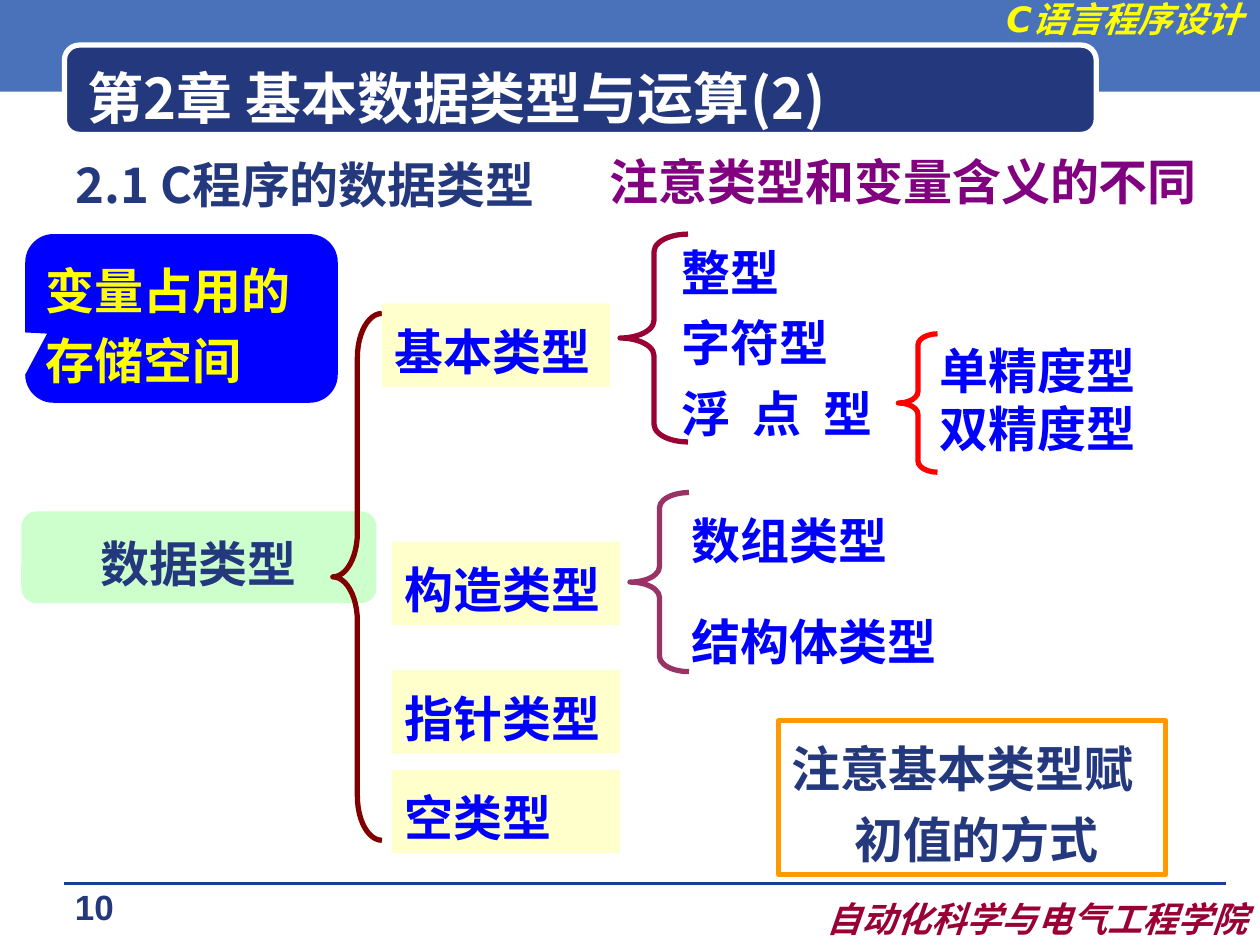
from lxml import etree
from pptx import Presentation
from pptx.dml.color import RGBColor
from pptx.enum.shapes import MSO_CONNECTOR, MSO_SHAPE
from pptx.enum.text import MSO_ANCHOR, PP_ALIGN
from pptx.oxml.ns import qn
from pptx.util import Cm, Pt

RECT, ROUNDED = MSO_SHAPE.RECTANGLE, MSO_SHAPE.ROUNDED_RECTANGLE
BRACE, CALLOUT = MSO_SHAPE.LEFT_BRACE, MSO_SHAPE.ROUNDED_RECTANGULAR_CALLOUT
STRAIGHT = MSO_CONNECTOR.STRAIGHT
LEFT, CENTER, RIGHT = PP_ALIGN.LEFT, PP_ALIGN.CENTER, PP_ALIGN.RIGHT
TOP, MIDDLE = MSO_ANCHOR.TOP, MSO_ANCHOR.MIDDLE

NAVY, BLUE, YELLOW, WHITE = "23387D", "0000FF", "FFFF00", "FFFFFF"
CREAM, MAROON = "FFFFCC", "990033"
HEADING_FONT, BANNER_FONT, BODY_FONT = "Noto Sans CJK SC", "DejaVu Sans", "Arial"
HANGING = 1.27


def color(value):
    return RGBColor.from_string(value)


def within(box, left, top, width, height):
    """Turn a place relative to a region into a place on the page."""
    return box[0] + left, box[1] + top, width, height


def add_shape(page, kind, box, fill=None, line=None, adjust=()):
    shape = page.shapes.add_shape(kind, *map(Cm, box))
    shape.shadow.inherit = False
    for index, value in enumerate(adjust):
        shape.adjustments[index] = value
    if fill:
        shape.fill.solid()
        shape.fill.fore_color.rgb = color(fill)
    else:
        shape.fill.background()
    if line:
        shape.line.color.rgb = color(line)
        shape.line.width = Pt(3)
    else:
        shape.line.fill.background()
    return shape


def write(shape, text, ink=BLUE, font=BODY_FONT, size=28, italic=False, align=LEFT,
          anchor=TOP, wrap=True, spacing=None, before=0, hanging=0):
    """Fill a shape with one paragraph for each line of text."""
    frame = shape.text_frame
    frame.word_wrap = wrap
    frame.vertical_anchor = anchor
    for index, words in enumerate(text.split("\n")):
        para = frame.add_paragraph() if index else frame.paragraphs[0]
        para.alignment = align
        if spacing:
            para.line_spacing = spacing
        if index and before:
            para.space_before = Pt(before)
        if hanging:
            properties = para._p.get_or_add_pPr()
            properties.set("marL", str(Cm(hanging)))
            properties.set("indent", str(-Cm(hanging)))
        span = para.add_run()
        span.text = words
        span.font.name = font
        span.font.size = Pt(size)
        span.font.bold = True
        span.font.italic = italic
        span.font.color.rgb = color(ink)


def add_text(page, box, text, **style):
    write(page.shapes.add_textbox(*map(Cm, box)), text, **style)


def add_header(page, box):
    add_shape(page, RECT, box, fill="4972BB")
    add_shape(page, ROUNDED, within(box, 1.3, 0.91, 20.8, 1.8), NAVY, WHITE, [0.167])
    add_text(page, within(box, 18.9, -0.18, 6.4, 1.12), "C语言程序设计", ink=YELLOW,
             font=BANNER_FONT, size=20, italic=True, align=RIGHT)
    add_text(page, within(box, 1.52, 1.17, 19.89, 1.57), "第2章 基本数据类型与运算(2)",
             ink=WHITE, font=HEADING_FONT, size=32, anchor=MIDDLE)


def add_footer(page, box):
    left, top, width, _ = box
    rule = page.shapes.add_connector(STRAIGHT, Cm(left + 1.3), Cm(top),
                                     Cm(left + width - 0.69), Cm(top))
    rule.line.color.rgb = color("1A3D97")
    rule.line.width = Pt(0)
    etree.SubElement(rule._element.spPr, qn("a:effectLst"))
    add_text(page, within(box, 15.14, 0.15, 10.26, 1.12), "自动化科学与电气工程学院",
             ink=MAROON, font=BANNER_FONT, size=20, italic=True, align=RIGHT)
    add_text(page, within(box, 0.51, -0.08, 2.79, 1.09), "10", ink=NAVY, size=20,
             align=CENTER)


def add_headings(page, box):
    add_text(page, box, "2.1 C程序的数据类型", ink=NAVY, font=HEADING_FONT)
    add_text(page, within(box, 10.44, -0.08, 13, 1.27), "注意类型和变量含义的不同",
             ink="800080", font=HEADING_FONT, align=CENTER, wrap=False)


def add_root(page, box):
    root = add_shape(page, ROUNDED, within(box, 0, 3.99, 7.16, 1.85), "CCFFCC",
                     adjust=[0.167])
    write(root, "数据类型", ink=NAVY, align=CENTER, anchor=MIDDLE, wrap=False,
          spacing=1.2, hanging=HANGING)
    add_shape(page, BRACE, within(box, 6.28, 0, 0.99, 10.62), line="800000",
              adjust=[0.9, 0.5])


def add_category(page, left, top, name):
    label = add_shape(page, RECT, (left, top, 4.6, 1.68), CREAM)
    write(label, name, spacing=1.2, hanging=HANGING)


def add_members(page, box, names, line, brace, adjust, spacing=None, before=0):
    """Place a list of types in the box, and its brace relative to the box."""
    add_shape(page, BRACE, within(box, *brace), line=line, adjust=[adjust, 0.5])
    add_text(page, box, names, spacing=spacing, before=before, hanging=HANGING)


def add_callout(page, box):
    callout = add_shape(page, CALLOUT, box, BLUE, adjust=[-0.43, 0.09, 0.167])
    write(callout, "变量占用的\n存储空间", ink=YELLOW, spacing=1.2, hanging=HANGING)


def add_note(page, box):
    note = add_shape(page, RECT, box, line="FF9900")
    write(note, "注意基本类型赋初值的方式", ink=NAVY, spacing=1.2, hanging=HANGING)


def main():
    deck = Presentation()
    deck.slide_width, deck.slide_height = Cm(25.4), Cm(19.05)
    page = deck.slides.add_slide(deck.slide_layouts[6])
    add_header(page, (0, 0, 25.4, 1.85))
    add_footer(page, (0, 17.81, 25.4, 1.24))
    add_headings(page, (1.27, 3, 22.86, 14.58))
    add_root(page, (0.43, 6.32, 7.27, 10.62))
    for left, top, name in ((7.7, 6.12, "基本类型"), (7.9, 10.92, "构造类型"),
                            (7.9, 13.51, "指针类型"), (7.9, 15.52, "空类型")):
        add_category(page, left, top, name)
    add_members(page, (13.49, 4.52, 5.99, 4.52), "整型\n字符型\n浮  点  型", MAROON,
                (-0.99, 0.2, 1.37, 4.19), 0.26, spacing=1.2)
    add_members(page, (13.69, 9.93, 5.79, 3.73), "数组类型\n结构体类型", "993366",
                (-0.99, 0, 1.19, 3.61), 0.26, spacing=1.2, before=17.5)
    add_members(page, (18.69, 6.73, 4.6, 2.64), "单精度型\n双精度型", "FF0000",
                (-0.58, 0, 0.79, 2.79), 0.29)
    add_callout(page, (0.51, 4.72, 6.3, 3.4))
    add_note(page, (15.7, 14.53, 7.8, 3.1))
    deck.save("out.pptx")


if __name__ == "__main__":
    main()
